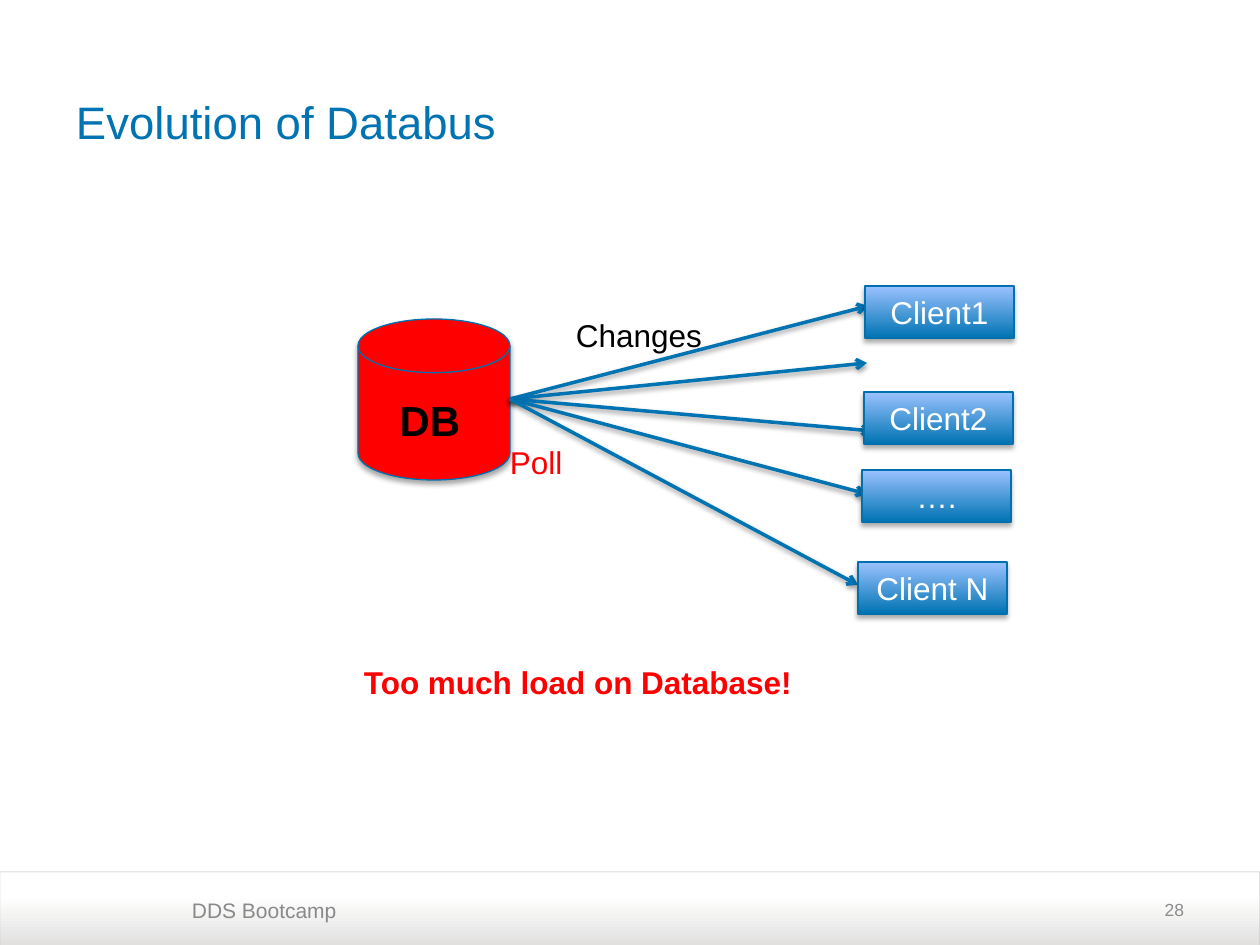
"""Build the Databus slide: clients polling one overloaded database."""
from dataclasses import dataclass

from lxml.etree import SubElement
from pptx import Presentation
from pptx.dml.color import RGBColor
from pptx.enum.shapes import MSO_CONNECTOR, MSO_SHAPE
from pptx.enum.text import MSO_ANCHOR as Anchor, PP_ALIGN as Align
from pptx.oxml.ns import qn
from pptx.util import Emu, Pt


@dataclass(frozen=True)
class Theme:
    font: str = "Arial"
    blue: str = "0073B2"
    edge: str = "0070AE"
    sky: str = "9BC2FF"
    red: str = "FF0000"
    black: str = "000000"
    white: str = "FFFFFF"
    footer: str = "88898B"
    number: str = "8C8C8C"
    band: str = "E1E0DF"
    band_edge: str = "A6A6A6"
    title_size: int = 26
    database_size: int = 24
    label_size: int = 18
    footer_size: int = 12
    number_size: int = 10


THEME = Theme()
PX = 914400 / 126
PAGE = (1260, 945)
TITLE = ("Evolution of Databus", (76, 52, 1134, 139))
BAND = (0, 872, 1260, 74)
DATABASE = (358, 319, 152, 161)
CLIENT_SIZE = (149, 52)
CLIENTS = [("Client1", 865, 286), ("Client2", 864, 392), ("….", 862, 470), ("Client N", 858, 562)]
POLL_START = (510, 399)
POLL_ENDS = [(868, 306), (867, 363), (873, 431), (867, 494), (858, 585)]
LABELS = [
    ("DDS Bootcamp", (192, 891, 391, 43), THEME.footer_size, THEME.footer, {}),
    ("28", (903, 885, 294, 50), THEME.number_size, THEME.number,
     {"align": Align.RIGHT, "anchor": Anchor.MIDDLE, "left": 13}),
    ("DB", (379, 388, 115, 58), THEME.database_size, THEME.black,
     {"align": Align.CENTER, "bold": True}),
    ("Changes", (563, 310, 179, 50), THEME.label_size, THEME.black, {"left": 13}),
    ("Poll", (510, 437, 89, 44), THEME.label_size, THEME.red, {}),
    ("Too much load on Database!", (364, 657, 479, 111), THEME.label_size, THEME.red,
     {"bold": True}),
]


def px(*values):
    return [Emu(round(value * PX)) for value in values]


def color(code):
    return RGBColor.from_string(code)


def write(shape, text, size, code, align=Align.LEFT, anchor=Anchor.TOP, bold=False, left=0, right=13):
    frame = shape.text_frame
    frame.word_wrap = True
    frame.vertical_anchor = anchor
    frame.margin_left, frame.margin_right = px(left, right)
    para = frame.paragraphs[0]
    para.text = text
    para.alignment = align
    para.font.name = THEME.font
    para.font.size = Pt(size)
    para.font.bold = bold
    para.font.color.rgb = color(code)


def add_shadow(shape, opacity, distance):
    properties = shape.element.spPr
    effects = properties.find(qn("a:effectLst"))
    if effects is None:
        effects = SubElement(properties, qn("a:effectLst"))
    shadow = SubElement(effects, qn("a:outerShdw"), blurRad=str(Pt(3.1)), dist=str(Pt(distance)),
                        dir="5400000", rotWithShape="0")
    tint = SubElement(shadow, qn("a:srgbClr"), val=THEME.black)
    SubElement(tint, qn("a:alpha"), val=str(opacity * 1000))


def add_solid(page, kind, place, stops, edge, width):
    shape = page.shapes.add_shape(kind, *px(*place))
    shape.shadow.inherit = False
    shape.line.color.rgb = color(edge)
    shape.line.width = Pt(width)
    if len(stops) == 1:
        shape.fill.solid()
        shape.fill.fore_color.rgb = color(stops[0][1])
        return shape
    shape.fill.gradient()
    shape.fill.gradient_angle = 90
    for stop, (position, code) in zip(shape.fill.gradient_stops, stops):
        stop.position = position
        stop.color.rgb = color(code)
    return shape


def add_poll(page, end):
    line = page.shapes.add_connector(MSO_CONNECTOR.STRAIGHT, *px(*POLL_START, *end))
    line.line.color.rgb = color(THEME.blue)
    line.line.width = Pt(2)
    SubElement(line.element.spPr.find(qn("a:ln")), qn("a:tailEnd"), type="arrow")
    add_shadow(line, 38, 1.6)


def main():
    deck = Presentation()
    deck.slide_width, deck.slide_height = px(*PAGE)
    page = deck.slides.add_slide(deck.slide_layouts[5])
    text, place = TITLE
    title = page.shapes.title
    title.left, title.top, title.width, title.height = px(*place)
    write(title, text, THEME.title_size, THEME.blue, anchor=Anchor.MIDDLE, right=0)

    band = add_solid(page, MSO_SHAPE.ROUND_2_SAME_RECTANGLE, BAND,
                     [(0, THEME.band), (0.68, THEME.white)], THEME.band_edge, 0.25)
    band.adjustments[0] = 0
    edge_tint = band.element.spPr.find(qn("a:ln")).find(".//" + qn("a:srgbClr"))
    SubElement(edge_tint, qn("a:alpha"), val="79000")

    database = add_solid(page, MSO_SHAPE.FLOWCHART_MAGNETIC_DISK, DATABASE,
                         [(0, THEME.red)], THEME.edge, 0.75)
    add_shadow(database, 35, 1.8)
    for end in POLL_ENDS:
        add_poll(page, end)
    for name, left, top in CLIENTS:
        client = add_solid(page, MSO_SHAPE.RECTANGLE, (left, top, *CLIENT_SIZE),
                           [(0, THEME.blue), (1, THEME.sky)], THEME.edge, 0.75)
        add_shadow(client, 35, 1.8)
        write(client, name, THEME.label_size, THEME.white, Align.CENTER, Anchor.MIDDLE, left=13)
    for text, place, size, code, options in LABELS:
        write(page.shapes.add_textbox(*px(*place)), text, size, code, **options)
    deck.save("out.pptx")


if __name__ == "__main__":
    main()
